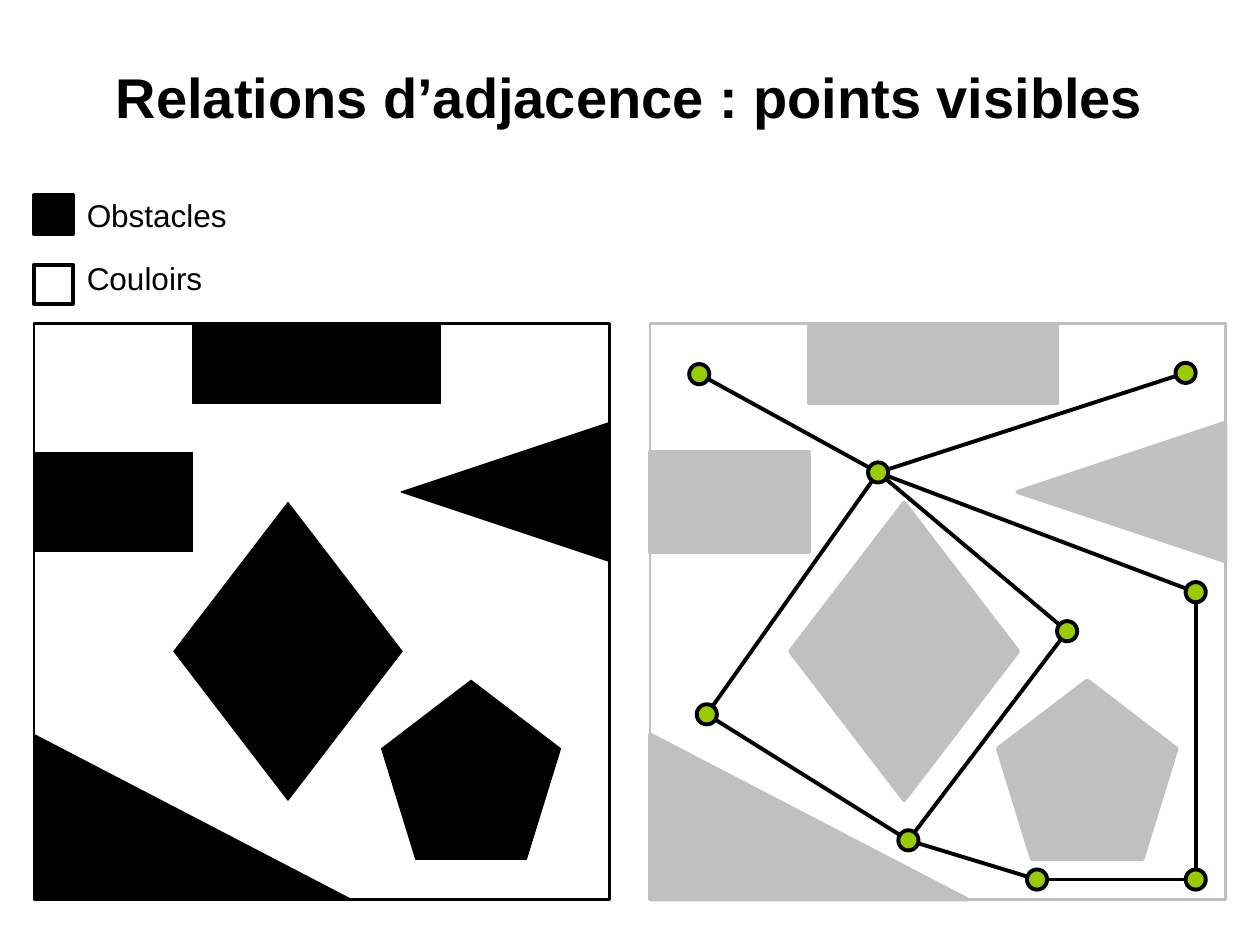
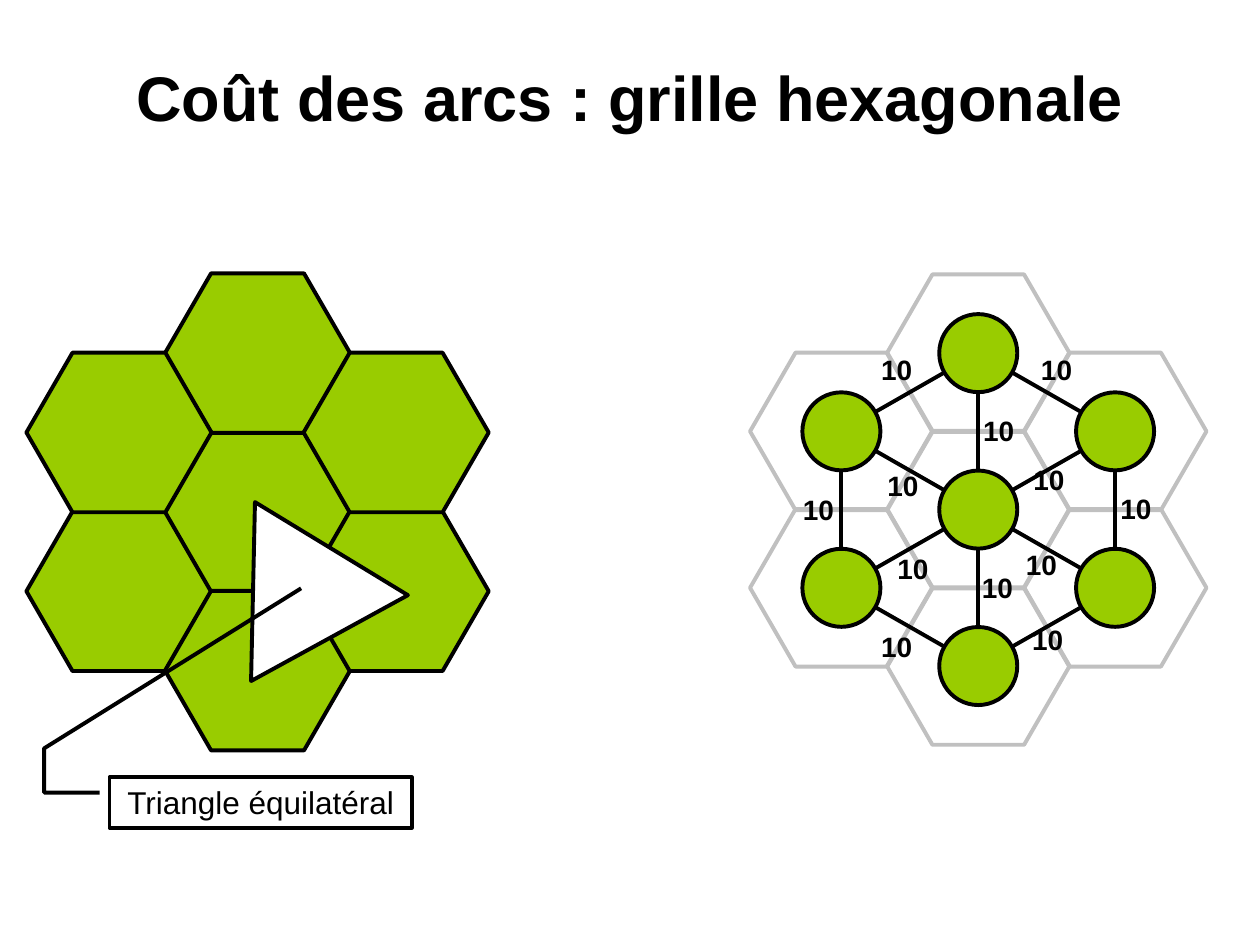
from itertools import product
from math import hypot

from lxml.etree import SubElement
from pptx import Presentation
from pptx.dml.color import RGBColor
from pptx.enum.shapes import MSO_CONNECTOR, MSO_SHAPE as Shape
from pptx.enum.text import MSO_ANCHOR as Anchor, PP_ALIGN as Align
from pptx.oxml.ns import qn
from pptx.util import Pt

# Shared look
BLACK, WHITE, GREY, GREEN = "000000", "FFFFFF", "C0C0C0", "99CC00"
FONT = "Arial"
LINE_WIDTH = 2.25

# Slide 1: obstacles as offsets from the corner of the map
MAP_TOP, MAP_SIDE = 185, 329
OBSTACLES = [
    (Shape.RECTANGLE, 90.7, 0, 141.8, 45.4, 0),
    (Shape.RIGHT_TRIANGLE, 0, 234.7, 181.4, 94.3, 0),
    (Shape.DIAMOND, 80, 102.2, 130.3, 170, 0),
    (Shape.RECTANGLE, 0, 73.4, 90.7, 56.9, 0),
    (Shape.REGULAR_PENTAGON, 198.7, 203.8, 102.2, 102.2, 0),
    (Shape.ISOSCELES_TRIANGLE, 229.7, 36.7, 79.2, 118.8, 270),
]

# Slide 1: centres of the visible points, and the pairs that see each other
POINT_SIZE = 11.5
POINTS = {
    "north-west": (399.6, 213.8),
    "hub": (501.8, 270),
    "west": (403.9, 408.2),
    "south": (519.1, 480.2),
    "north-east": (677.5, 213.1),
    "bottom": (592.6, 502.6),
    "middle": (609.8, 360.7),
    "east": (683.3, 338.4),
    "corner": (683.3, 502.6),
}
SIGHT_LINES = [
    ("hub", "north-west"), ("hub", "west"), ("west", "south"),
    ("south", "bottom"), ("hub", "north-east"), ("east", "hub"),
    ("east", "corner"), ("corner", "bottom"), ("south", "middle"),
    ("middle", "hub"),
]

# Slide 2: cells as (column, half row) steps from the centre of the grid
CELLS = {
    "SW": (-1, 1), "C": (0, 0), "S": (0, 2), "N": (0, -2),
    "NW": (-1, -1), "SE": (1, 1), "NE": (1, -1),
}
NODE_SIZE = 44.6
ARC_COST = "10"
# Arc ends, then the corner of the cost label
ARCS = [
    ("NW", "SW", 447.8, 277.9), ("NE", "SE", 629.3, 277.2),
    ("N", "C", 550.8, 232.6), ("C", "S", 550.1, 322.6),
    ("NW", "N", 492.5, 198), ("SW", "C", 501.8, 311.8),
    ("C", "NE", 579.6, 260.6), ("S", "SE", 578.9, 352.1),
    ("N", "NE", 583.9, 198), ("SW", "S", 492.5, 356.4),
    ("NW", "C", 496.1, 264.2), ("C", "SE", 575.3, 309.6),
]


def color(hex_code):
    return RGBColor.from_string(hex_code)


def set_all(target, values):
    for name, value in values.items():
        setattr(target, name, value)


def style(shape, fill, line, width=LINE_WIDTH):
    shape.shadow.inherit = False
    if fill:
        shape.fill.solid()
        shape.fill.fore_color.rgb = color(fill)
    else:
        shape.fill.background()
    shape.line.color.rgb = color(line)
    shape.line.width = Pt(width)


def add_figure(page, kind, left, top, width, height, fill, line=BLACK,
               weight=LINE_WIDTH, rotation=0):
    figure = page.shapes.add_shape(kind, Pt(left), Pt(top), Pt(width), Pt(height))
    figure.rotation = rotation
    style(figure, fill, line, weight)
    return figure


def add_disc(page, center, size):
    x, y = center
    add_figure(page, Shape.OVAL, x - size / 2, y - size / 2, size, size, GREEN)


def write(box, text, size, bold=False, align=Align.LEFT, anchor=Anchor.TOP):
    set_all(box.text_frame, {"word_wrap": True, "vertical_anchor": anchor})
    para = box.text_frame.paragraphs[0]
    para.alignment = align
    span = para.add_run()
    span.text = text
    set_all(span.font, {"name": FONT, "size": Pt(size), "bold": bold})
    span.font.color.rgb = color(BLACK)


def add_text(page, text, left, top, width, height, size, **formats):
    box = page.shapes.add_textbox(Pt(left), Pt(top), Pt(width), Pt(height))
    write(box, text, size, **formats)


def add_link(page, start, end, size):
    """Draw a line between the rims of two discs of the given size."""
    (x1, y1), (x2, y2) = start, end
    trim = size / 2 / hypot(x2 - x1, y2 - y1)
    dx, dy = (x2 - x1) * trim, (y2 - y1) * trim
    ends = (x1 + dx, y1 + dy, x2 - dx, y2 - dy)
    link = page.shapes.add_connector(MSO_CONNECTOR.STRAIGHT, *map(Pt, ends))
    link.line.color.rgb = color(BLACK)
    link.line.width = Pt(LINE_WIDTH)
    SubElement(link._element.spPr, qn("a:effectLst"))


def add_page(deck, title, title_size):
    page = deck.slides.add_slide(deck.slide_layouts[6])
    add_text(page, title, 36, 21.6, 648, 67, title_size, bold=True,
             align=Align.CENTER, anchor=Anchor.MIDDLE)
    return page


def add_map(page, left, shade, weight):
    add_figure(page, Shape.RECTANGLE, left, MAP_TOP, MAP_SIDE, MAP_SIDE,
               None, shade, 1.5)
    for kind, x, y, width, height, rotation in OBSTACLES:
        add_figure(page, kind, left + x, MAP_TOP + y, width, height,
                   shade, shade, weight, rotation)


def add_legend(page, text, fill, square_top, text_top):
    add_figure(page, Shape.RECTANGLE, 19.4, square_top, 22.3, 22.3, fill)
    add_text(page, text, 42.5, text_top, 142, 28.8, 18)


def cell_centers(center, column_step, row_step):
    x, y = center
    return {name: (x + column * column_step, y + half_row * row_step / 2)
            for name, (column, half_row) in CELLS.items()}


def add_hexagons(page, centers, width, height, fill, line):
    for x, y in centers.values():
        cell = add_figure(page, Shape.HEXAGON, x - width / 2, y - height / 2,
                          width, height, fill, line)
        cell.adjustments[0] = 0.289
        cell.adjustments[1] = 1.155


def add_callout(page, text, left, top, width, height, leader):
    label = add_figure(page, Shape.RECTANGLE, left, top, width, height, WHITE)
    write(label, text, 18, align=Align.CENTER)
    start, *bends = [(Pt(x), Pt(y)) for x, y in leader]
    builder = page.shapes.build_freeform(*start)
    builder.add_line_segments(bends, close=False)
    style(builder.convert_to_shape(), None, BLACK)


def build_visible_points(deck):
    page = add_page(deck, "Relations d’adjacence : points visibles", 32)
    add_map(page, 19.4, BLACK, 0.75)
    add_map(page, 371.5, GREY, LINE_WIDTH)
    for center in POINTS.values():
        add_disc(page, center, POINT_SIZE)
    for start, end in SIGHT_LINES:
        add_link(page, POINTS[start], POINTS[end], POINT_SIZE)
    add_legend(page, "Obstacles", BLACK, 111.6, 108.7)
    add_legend(page, "Couloirs", WHITE, 151.2, 144.7)


def build_hexagonal_grid(deck):
    page = add_page(deck, "Coût des arcs : grille hexagonale", 36)

    # Plain grid
    centers = cell_centers((147.2, 292.5), 79.2, 90.7)
    add_hexagons(page, centers, 105.8, 91.2, GREEN, BLACK)

    # Grid with its graph
    centers = cell_centers((559, 291.2), 78.2, 89.4)
    add_hexagons(page, centers, 104.4, 90, None, GREY)
    for center in centers.values():
        add_disc(page, center, NODE_SIZE)
    for start, end, left, top in ARCS:
        add_link(page, centers[start], centers[end], NODE_SIZE)
        add_text(page, ARC_COST, left, top, 39.6, 26.6, 16, bold=True,
                 align=Align.CENTER)

    # Triangle and its callout
    add_figure(page, Shape.ISOSCELES_TRIANGLE, 115.9, 281.5, 102.2, 88.6,
               WHITE, rotation=331.3)
    add_callout(page, "Triangle équilatéral", 62.6, 444.2, 172.8, 28.8,
                [(56.9, 452.9), (25.2, 452.9), (25.2, 427.7), (172.1, 336.2)])


def main():
    deck = Presentation()
    set_all(deck, {"slide_width": Pt(720), "slide_height": Pt(540)})
    build_visible_points(deck)
    build_hexagonal_grid(deck)
    deck.save("out.pptx")


if __name__ == "__main__":
    main()
